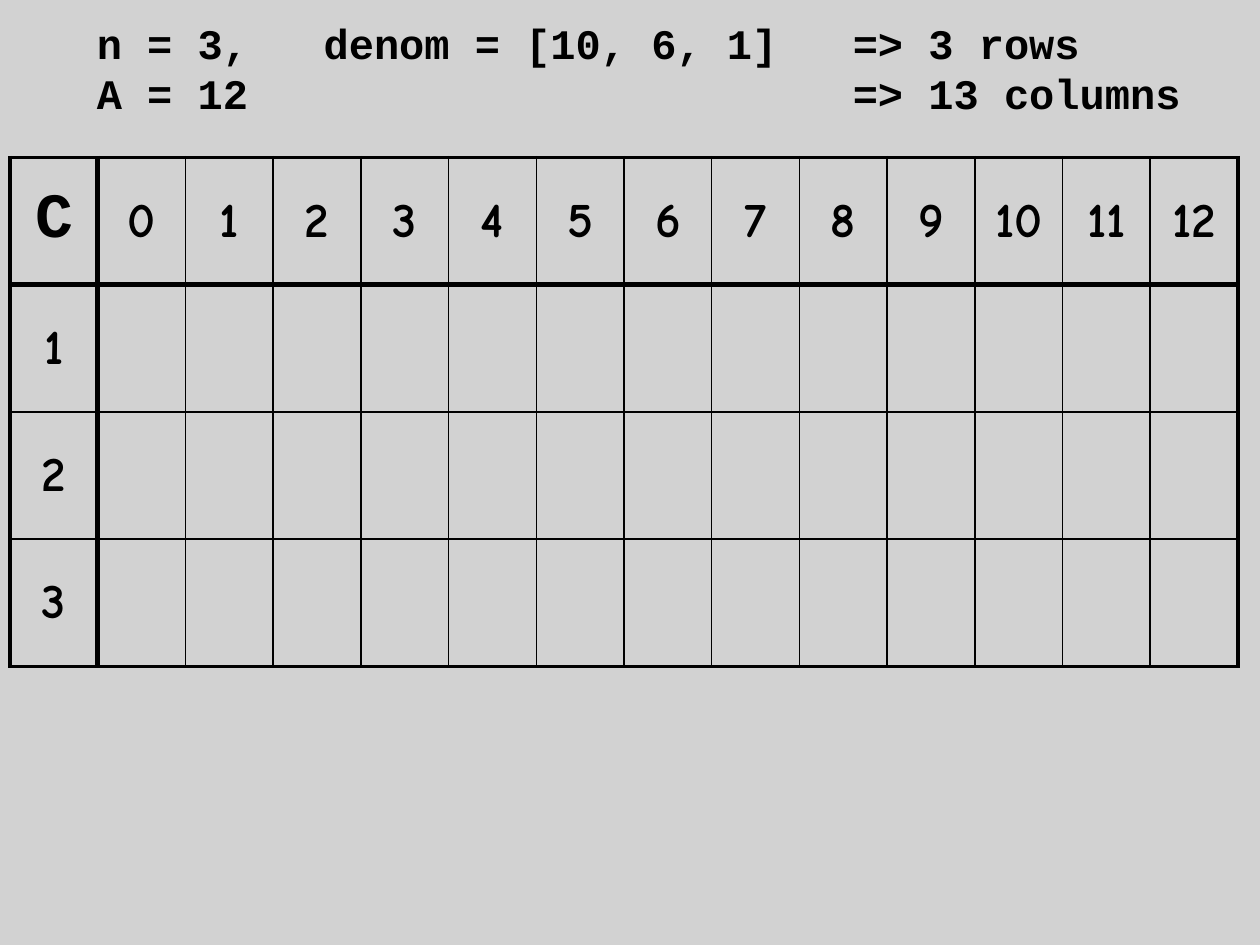
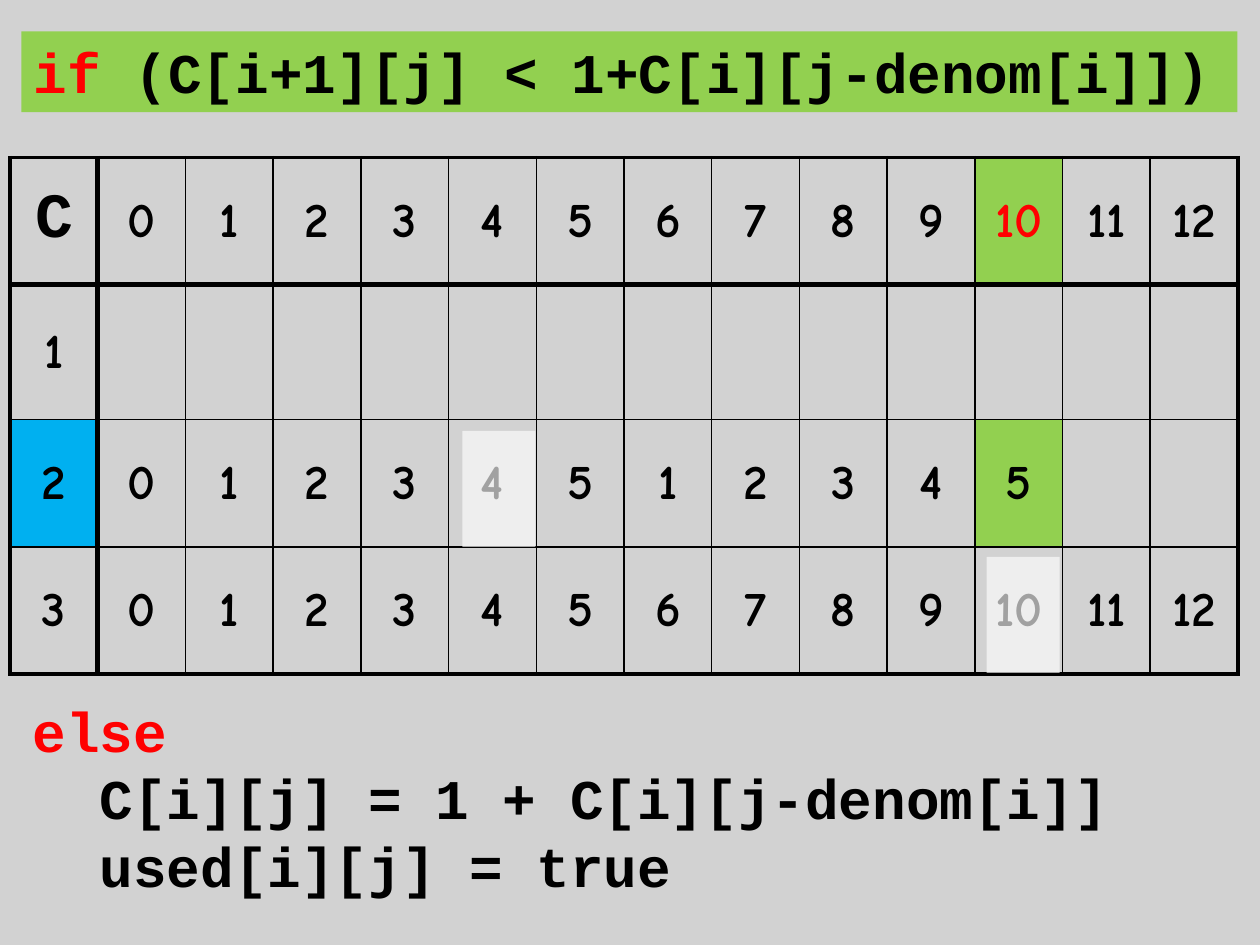
"""Build two slides that fill in a coin-change table."""
import pptx
import pptx.dml.color
import pptx.enum.shapes
import pptx.enum.text
import pptx.oxml.ns
import pptx.util
from lxml import etree
from pptx.util import Inches

BLACK, WHITE, GREY = "000000", "FFFFFF", "C0C0C0"
RED, GREEN, BLUE = "FF0000", "92D050", "00B0F0"
THIN, EDGE, HEADER = 1, 2.25, 3
COLUMNS, ROWS = 14, 4


def color(value):
    """Turn a hex string into a color."""
    return pptx.dml.color.RGBColor.from_string(value)


def add_element(parent, tag, **attributes):
    """Append a drawing element to its parent."""
    return etree.SubElement(parent, pptx.oxml.ns.qn(tag), attributes)


class Deck:
    """Hold the shared style and the current slide."""

    code = {"name": "Courier New", "bold": True}
    digit = {"name": "Comic Neue", "bold": True, "size": pptx.util.Pt(28)}

    def __init__(self):
        """Start an empty 4:3 presentation."""
        self.presentation = pptx.Presentation()
        self.presentation.slide_width = Inches(10)
        self.presentation.slide_height = Inches(7.5)
        self.slide = None

    def add_slide(self):
        """Add a blank slide with the grey backdrop."""
        self.slide = self.presentation.slides.add_slide(self.presentation.slide_layouts[6])
        self.add_rectangle(0, 0, 10, 7.5, GREY, 70)

    def add_rectangle(self, left, top, width, height, fill, opacity=100):
        """Add a borderless rectangle."""
        shape = self.slide.shapes.add_shape(
            pptx.enum.shapes.MSO_SHAPE.RECTANGLE,
            Inches(left), Inches(top), Inches(width), Inches(height))
        shape.shadow.inherit = False
        shape.line.fill.background()
        shape.fill.solid()
        shape.fill.fore_color.rgb = color(fill)
        if opacity < 100:
            value = shape.fill._xPr.find(".//" + pptx.oxml.ns.qn("a:srgbClr"))
            add_element(value, "a:alpha", val=str(opacity * 1000))
        return shape

    def add_run(self, paragraph, text, formats, fill=BLACK):
        """Append a formatted run."""
        run = paragraph.add_run()
        run.text = text
        for name, value in formats.items():
            setattr(run.font, name, value)
        run.font.color.rgb = color(fill)

    def write_code(self, shape, lines, size, tabs=()):
        """Write lines of (text, color) runs in the code font."""
        frame = shape.text_frame
        frame.word_wrap = True
        frame.vertical_anchor = pptx.enum.text.MSO_ANCHOR.TOP
        for index, line in enumerate(lines):
            paragraph = frame.add_paragraph() if index else frame.paragraphs[0]
            paragraph.alignment = pptx.enum.text.PP_ALIGN.LEFT
            if tabs:
                stops = add_element(paragraph._p.get_or_add_pPr(), "a:tabLst")
                for tab in tabs:
                    add_element(stops, "a:tab", pos=str(Inches(tab)), algn="l")
            for text, fill in line:
                self.add_run(paragraph, text, {**self.code, "size": pptx.util.Pt(size)}, fill)

    def add_code(self, left, top, width, height, lines, size, tabs=()):
        """Add a text box of code."""
        shape = self.slide.shapes.add_textbox(
            Inches(left), Inches(top), Inches(width), Inches(height))
        self.write_code(shape, lines, size, tabs)

    def set_borders(self, cell, row, column):
        """Draw thick outer and header borders, thin ones elsewhere."""
        widths = {
            "a:lnL": {0: EDGE, 1: HEADER}.get(column, THIN),
            "a:lnR": {0: HEADER, COLUMNS - 1: EDGE}.get(column, THIN),
            "a:lnT": {0: EDGE, 1: HEADER}.get(row, THIN),
            "a:lnB": {0: HEADER, ROWS - 1: EDGE}.get(row, THIN),
        }
        properties = cell._tc.get_or_add_tcPr()
        for index, (tag, width) in enumerate(widths.items()):
            border = add_element(properties, tag, w=str(pptx.util.Pt(width)))
            add_element(add_element(border, "a:solidFill"), "a:srgbClr", val=BLACK)
            properties.insert(index, border)

    def add_cost_table(self, values, row_heights, fills, font_colors):
        """Add the cost table; values maps a row to its entries."""
        width = Inches(9.75)
        table = self.slide.shapes.add_table(
            ROWS, COLUMNS, Inches(0.08), Inches(1.25), width, Inches(sum(row_heights))).table
        table.first_row = table.horz_banding = False
        for column in table.columns:
            column.width = width // COLUMNS
        for row, height in enumerate(row_heights):
            table.rows[row].height = Inches(height)
            entries = [row or "C", *values.get(row, [])]
            for column in range(COLUMNS):
                cell = table.cell(row, column)
                cell.vertical_anchor = pptx.enum.text.MSO_ANCHOR.MIDDLE
                if (row, column) in fills:
                    cell.fill.solid()
                    cell.fill.fore_color.rgb = color(fills[row, column])
                else:
                    cell.fill.background()
                self.set_borders(cell, row, column)
                if column < len(entries):
                    paragraph = cell.text_frame.paragraphs[0]
                    paragraph.alignment = pptx.enum.text.PP_ALIGN.CENTER
                    corner = {**self.code, "size": pptx.util.Pt(36)}
                    self.add_run(paragraph, str(entries[column]),
                                 self.digit if row or column else corner,
                                 font_colors.get((row, column), BLACK))


def main():
    """Build and save both slides."""
    deck = Deck()
    amounts = list(range(13))

    deck.add_slide()
    deck.add_cost_table({0: amounts}, [1.01] * ROWS, {}, {})
    deck.add_code(0.67, 0.09, 8.83, 0.91, [
        [("n = 3,\tdenom = [10, 6, 1]\t=> 3 rows", BLACK)],
        [("A = 12\t\t=> 13 columns", BLACK)],
    ], 24, tabs=(1.8, 6))

    deck.add_slide()
    deck.add_cost_table(
        {0: amounts, 2: [*range(6), *range(1, 6)], 3: amounts},
        [1.01, 1.07, 1.01, 1.01],
        {(0, 11): GREEN, (2, 0): BLUE, (2, 11): GREEN}, {(0, 11): RED})
    for left, top in ((7.83, 4.42), (3.67, 3.42)):
        deck.add_rectangle(left, top, 0.58, 0.92, WHITE, 63)
    condition = deck.add_rectangle(0.17, 0.25, 9.65, 0.64, GREEN)
    deck.write_code(condition, [[("if ", RED), ("(C[i+1][j] < 1+C[i][j-denom[i]])", BLACK)]], 32)
    deck.add_code(0.16, 5.48, 8.84, 1.72, [
        [("else", RED)],
        [("  C[i][j] = 1 + C[i][j-denom[i]]", BLACK)],
        [("  used[i][j] = true", BLACK)],
    ], 32)

    deck.presentation.save("out.pptx")


if __name__ == "__main__":
    main()
